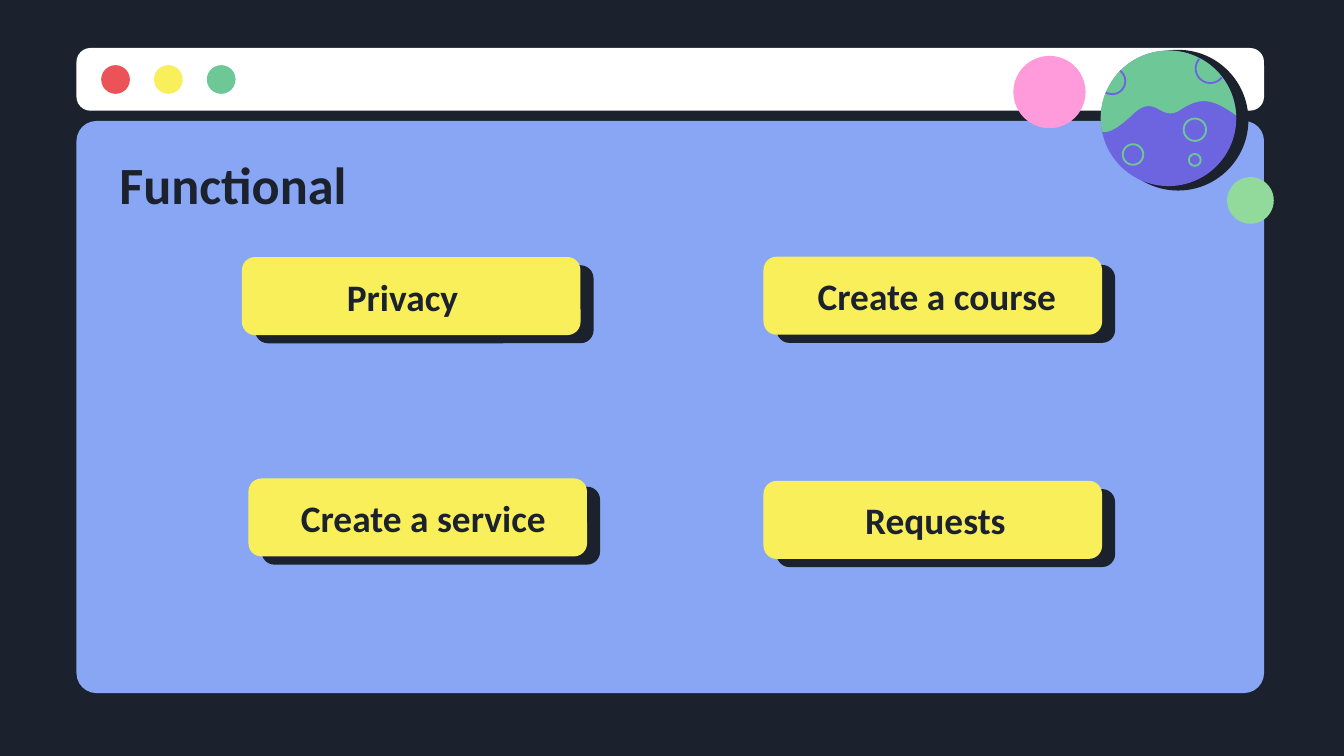
from dataclasses import dataclass
from math import cos, radians, sin

from pptx import Presentation
from pptx.dml.color import RGBColor
from pptx.enum.shapes import MSO_SHAPE as Kind
from pptx.enum.text import MSO_ANCHOR as Anchor, PP_ALIGN as Align
from pptx.util import Pt

INK, WHITE, BLUE, YELLOW = "1B222D", "FFFFFF", "88A6F3", "F8EF5B"
RED, GREEN, PURPLE, MINT, PINK = "EB5358", "6DC797", "6D65E0", "92D99C", "FF9BDA"

Point = tuple[float, float]


@dataclass
class Button:
    text: str
    x: float
    y: float
    left: float  # label box
    width: float


@dataclass
class Disc:
    x: float  # centre
    y: float
    size: float
    fill: str = ""
    line: str = ""


BUTTONS = [
    Button("Privacy", 129.6, 137.7, 71.3, 288.7),
    Button("Create a course", 409, 137.5, 369.4, 265),
    Button("Create a service", 133.1, 256.3, 71.3, 311),
    Button("Requests", 409, 257.6, 328.3, 345.6),
]
WIDE, HIGH = 181.4, 41.8
SHIFT_X, SHIFT_Y = 7, 4.4

PLANET = Disc(626, 63.4, 72.6, PURPLE)
CRATERS = [
    Disc(607, 82.8, 11, line=GREEN),
    Disc(640.1, 69.5, 12, line=GREEN),
    Disc(640.1, 85.7, 6.4, line=GREEN),
]
WAVE = [
    ((662.4, 61.9), (649.4, 52.6), (643, 51.8), (632.2, 59)),
    ((632.2, 59), (621.4, 66.2), (619.2, 48.2), (605.5, 62.6)),
    ((605.5, 62.6), (598.3, 69.1), (594, 71.3), (590.4, 70.6)),
]


def tint(code: str) -> RGBColor:
    return RGBColor.from_string(code)


def paint(shape, fill: str = "", line: str = "") -> None:
    shape.shadow.inherit = False
    if fill:
        shape.fill.solid()
        shape.fill.fore_color.rgb = tint(fill)
    else:
        shape.fill.background()
    if line:
        shape.line.color.rgb = tint(line)
        shape.line.width = Pt(1)
    else:
        shape.line.fill.background()


def panel(slide, x: float, y: float, w: float, h: float, fill: str, bend: float) -> None:
    shape = slide.shapes.add_shape(Kind.ROUNDED_RECTANGLE, Pt(x), Pt(y), Pt(w), Pt(h))
    shape.adjustments[0] = bend
    paint(shape, fill)


def disc(slide, item: Disc) -> None:
    half = item.size / 2
    shape = slide.shapes.add_shape(
        Kind.OVAL, Pt(item.x - half), Pt(item.y - half), Pt(item.size), Pt(item.size))
    paint(shape, item.fill, item.line)


def arc(x: float, y: float, r: float, start: float, end: float) -> list[Point]:
    """Points on a circle; degrees run clockwise from the right."""
    count = 48
    turns = [radians(start + (end - start) * i / count) for i in range(count + 1)]
    return [(x + r * cos(t), y + r * sin(t)) for t in turns]


def curve(a: Point, b: Point, c: Point, d: Point) -> list[Point]:
    """Points along a cubic Bezier curve."""
    points = []
    for i in range(1, 17):
        t = i / 16
        u = 1 - t
        mix = (u ** 3, 3 * u * u * t, 3 * u * t * t, t ** 3)
        x, y = (sum(k * p[n] for k, p in zip(mix, (a, b, c, d))) for n in (0, 1))
        points.append((x, y))
    return points


def trace(slide, points: list[Point], fill: str = "", line: str = "") -> None:
    spots = [(Pt(x), Pt(y)) for x, y in points]
    pen = slide.shapes.build_freeform(*spots[0])
    pen.add_line_segments(spots[1:], close=bool(fill))
    paint(pen.convert_to_shape(), fill, line)


def write(slide, text: str, *, x: float, y: float, w: float, h: float,
          size: float, align: Align = Align.LEFT) -> None:
    frame = slide.shapes.add_textbox(Pt(x), Pt(y), Pt(w), Pt(h)).text_frame
    frame.word_wrap = True
    frame.vertical_anchor = Anchor.MIDDLE
    frame.margin_left = frame.margin_right = Pt(7.2)
    frame.margin_top = frame.margin_bottom = Pt(7.2)
    line = frame.paragraphs[0]
    line.alignment = align
    run = line.add_run()
    run.text = text
    font = run.font
    font.name, font.size, font.bold = "Calibri", Pt(size), True
    font.color.rgb = tint(INK)


def window(slide) -> None:
    panel(slide, 41, 64.8, 636.2, 306.5, BLUE, 0.035)
    panel(slide, 41, 25.7, 636.2, 33.6, WHITE, 0.223)
    for i, fill in enumerate((RED, YELLOW, GREEN)):
        disc(slide, Disc(61.9 + 28.3 * i, 42.6, 15.4, fill))


def planet(slide) -> None:
    disc(slide, Disc(631.1, 64.4, 75.4, INK))
    disc(slide, PLANET)
    for item in CRATERS:
        disc(slide, item)
    cap = arc(PLANET.x, PLANET.y, PLANET.size / 2, -191.4, -2.4)
    for part in WAVE:
        cap += curve(*part)
    trace(slide, cap, fill=GREEN)
    trace(slide, arc(595.8, 43.5, 7, 119, -53), line=PURPLE)
    trace(slide, arc(648.4, 36.7, 7.8, 221, 38), line=PURPLE)
    disc(slide, Disc(669.9, 107.4, 25, MINT))
    disc(slide, Disc(562.2, 49.3, 38.7, PINK))


def button(slide, item: Button) -> None:
    panel(slide, item.x + SHIFT_X, item.y + SHIFT_Y, WIDE, HIGH, INK, 0.167)
    panel(slide, item.x, item.y, WIDE, HIGH, YELLOW, 0.167)
    write(slide, item.text, x=item.left, y=item.y, w=item.width, h=HIGH,
          size=20, align=Align.CENTER)


def main() -> None:
    deck = Presentation()
    deck.slide_width, deck.slide_height = Pt(720), Pt(405)
    slide = deck.slides.add_slide(deck.slide_layouts[6])
    back = slide.background.fill
    back.solid()
    back.fore_color.rgb = tint(INK)
    window(slide)
    planet(slide)
    write(slide, "Functional", x=56.9, y=76.3, w=607, h=44.6, size=28)
    for item in BUTTONS:
        button(slide, item)
    deck.save("out.pptx")


if __name__ == "__main__":
    main()
